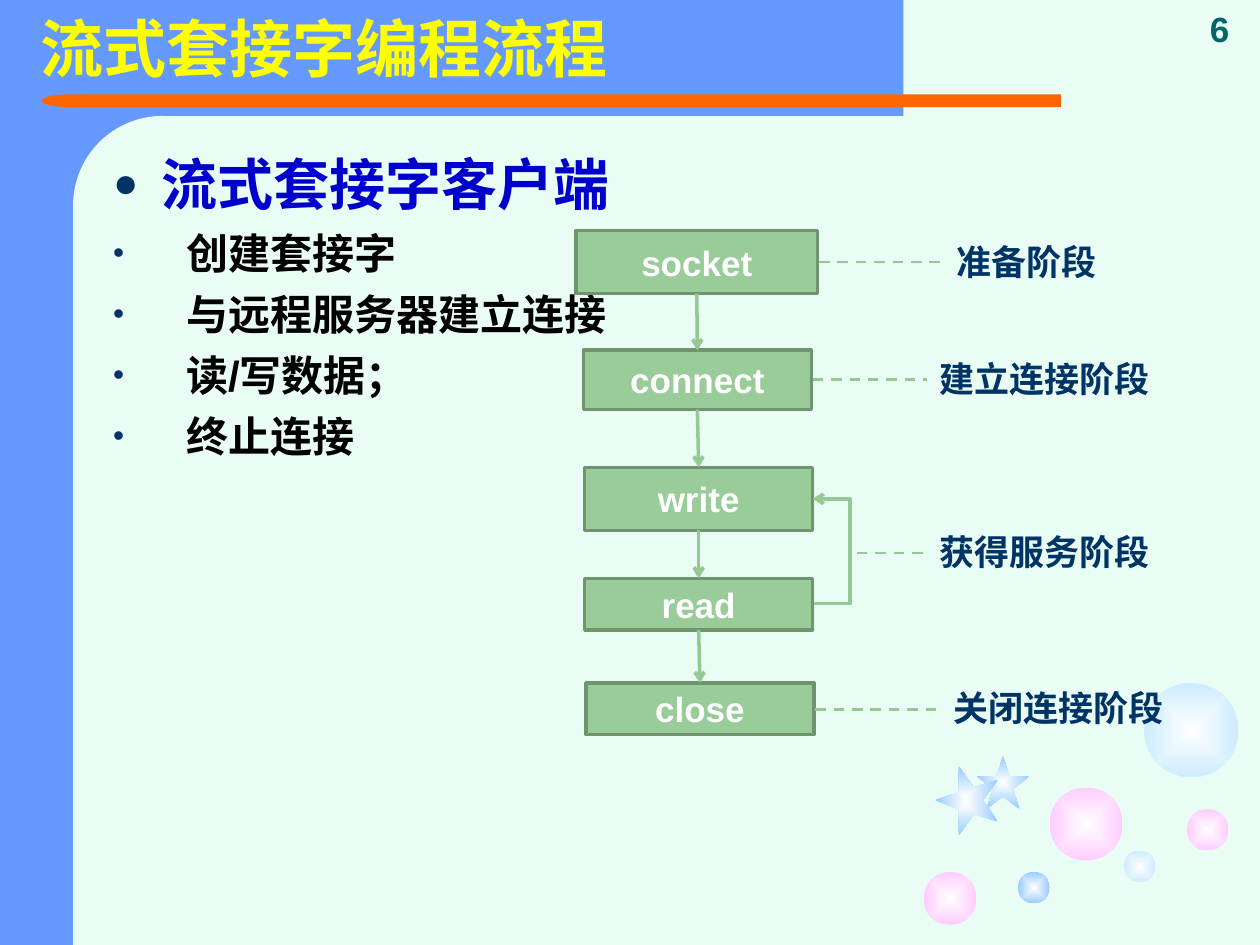
from dataclasses import dataclass
from typing import NamedTuple, Optional

import pptx
import pptx.dml.color
import pptx.enum.dml
import pptx.enum.shapes
import pptx.enum.text
import pptx.oxml
import pptx.oxml.ns
import pptx.util

Inches = pptx.util.Inches
Pt = pptx.util.Pt
SHAPE = pptx.enum.shapes.MSO_SHAPE
LINK = pptx.enum.shapes.MSO_CONNECTOR
ANCHOR = pptx.enum.text.MSO_ANCHOR
ALIGN = pptx.enum.text.PP_ALIGN
qn = pptx.oxml.ns.qn
NS = pptx.oxml.ns.nsdecls("a")


@dataclass(frozen=True)
class Theme:
    paper: str = "E9FDF4"
    frame: str = "6699FF"
    rule: str = "FF6600"
    title: str = "FFFF00"
    heading: str = "0000CC"
    body: str = "000000"
    label: str = "003366"
    number: str = "006666"
    white: str = "FFFFFF"
    step: str = "99CC99"
    step_edge: str = "6F956F"
    arrow: str = "94C994"
    pink: str = "FFCCFF"
    pale: str = "CCECFF"
    sky: str = "99CCFF"
    latin: str = "Arial"
    cjk: str = "Noto Sans CJK SC"
    title_pt: int = 36
    heading_pt: int = 32
    body_pt: int = 24
    label_pt: int = 20


T = Theme()


class Box(NamedTuple):
    x: float
    y: float
    w: float
    h: float


class Step(NamedTuple):
    text: str
    box: Box


class Stage(NamedTuple):
    text: str
    box: Box
    line_start: float
    line_y: float


class Bubble(NamedTuple):
    x: float
    y: float
    size: float
    color: str


class Star(NamedTuple):
    points: list[tuple[float, float]]
    color: str


STEPS = [
    Step("socket", Box(4.57, 1.83, 1.92, 0.5)),
    Step("connect", Box(4.63, 2.78, 1.81, 0.47)),
    Step("write", Box(4.64, 3.71, 1.81, 0.5)),
    Step("read", Box(4.64, 4.59, 1.81, 0.41)),
    Step("close", Box(4.65, 5.42, 1.81, 0.41)),
]
STAGES = [
    Stage("准备阶段", Box(7.49, 1.86, 1.73, 0.44), 6.5, 2.08),
    Stage("建立连接阶段", Box(7.36, 2.79, 2.44, 0.44), 6.45, 3.01),
    Stage("获得服务阶段", Box(7.36, 4.16, 2.28, 0.44), 6.8, 4.39),
    Stage("关闭连接阶段", Box(7.47, 5.4, 2.36, 0.44), 6.47, 5.63),
]
BUBBLES = [
    Bubble(8.33, 6.25, 0.58, T.pink),
    Bubble(7.33, 6.92, 0.42, T.pink),
    Bubble(8.92, 6.75, 0.25, T.pale),
    Bubble(9.42, 6.42, 0.33, T.pink),
    Bubble(9.08, 5.42, 0.75, T.pale),
    Bubble(8.08, 6.92, 0.25, T.sky),
]
STARS = [
    Star([(7.75, 6.16), (7.91, 6.16), (7.96, 6), (8.01, 6.16), (8.17, 6.16),
          (8.04, 6.26), (8.09, 6.42), (7.96, 6.32), (7.83, 6.42), (7.88, 6.26)], T.sky),
    Star([(7.61, 6.63), (7.61, 6.42), (7.42, 6.35), (7.61, 6.29), (7.61, 6.08),
          (7.73, 6.25), (7.92, 6.19), (7.8, 6.35), (7.92, 6.52), (7.73, 6.46)], T.sky),
]
TASKS = ["创建套接字", "与远程服务器建立连接", "读/写数据；", "终止连接"]


def rgb(color: str) -> pptx.dml.color.RGBColor:
    return pptx.dml.color.RGBColor.from_string(color)


def add_shape(s, kind, box: Box, fill: str, edge: Optional[str] = None):
    sp = s.shapes.add_shape(kind, *map(Inches, box))
    sp.shadow.inherit = False
    sp.fill.solid()
    sp.fill.fore_color.rgb = rgb(fill)
    if edge:
        sp.line.color.rgb = rgb(edge)
        sp.line.width = Pt(2)
    else:
        sp.line.fill.background()
    return sp


def glow(sp, color: str) -> None:
    """Fill from white in the middle to the colour at the edge."""
    sp.shadow.inherit = False
    sp.line.fill.background()
    sp.fill.background()
    old = sp._element.spPr.find(qn("a:noFill"))
    old.getparent().replace(old, pptx.oxml.parse_xml(
        f'<a:gradFill {NS} rotWithShape="1"><a:gsLst>'
        f'<a:gs pos="0"><a:srgbClr val="{T.white}"/></a:gs>'
        f'<a:gs pos="100000"><a:srgbClr val="{color}"/></a:gs></a:gsLst>'
        '<a:path path="rect"><a:fillToRect l="50000" t="50000" r="50000" b="50000"/>'
        '</a:path></a:gradFill>'))


def add_star(s, star: Star) -> None:
    points = [(Inches(x), Inches(y)) for x, y in star.points]
    builder = s.shapes.build_freeform(*points[0])
    builder.add_line_segments(points[1:], close=True)
    glow(builder.convert_to_shape(), star.color)


def add_line(s, start: tuple[float, float], end: tuple[float, float],
             kind=LINK.STRAIGHT, dashed: bool = False):
    """Draw a dashed guide, or a solid line with an arrowhead at its end."""
    c = s.shapes.add_connector(kind, *map(Inches, start + end))
    c.line.color.rgb = rgb(T.arrow)
    c.line.width = Pt(1.5 if dashed else 2)
    if dashed:
        c.line.dash_style = pptx.enum.dml.MSO_LINE.DASH
    else:
        c.line._get_or_add_ln().append(pptx.oxml.parse_xml(f'<a:tailEnd {NS} type="arrow"/>'))
    c._element.spPr.append(pptx.oxml.parse_xml(f"<a:effectLst {NS}/>"))
    return c


def write(p, text: str, *, size: int, color: str, latin: str = T.latin, align=None,
          bullet: Optional[str] = None, indent: float = 0, level: int = 0) -> None:
    if bullet:
        p.level = level
        pPr = p._p.get_or_add_pPr()
        pPr.set("marL", str(Inches(indent)))
        pPr.set("indent", str(-Inches(indent)))
        for xml in (f'<a:buClr {NS}><a:srgbClr val="{T.label}"/></a:buClr>',
                    f'<a:buSzPct {NS} val="75000"/>',
                    f'<a:buFont {NS} typeface="{T.latin}"/>',
                    f'<a:buChar {NS} char="{bullet}"/>'):
            pPr.append(pptx.oxml.parse_xml(xml))
    p.alignment = align
    r = p.add_run()
    r.text = text
    r.font.size, r.font.bold, r.font.name = Pt(size), True, latin
    r.font.color.rgb = rgb(color)
    r.font._element.find(qn("a:latin")).addnext(
        pptx.oxml.parse_xml(f'<a:ea {NS} typeface="{T.cjk}"/>'))


def add_text(s, box: Box, anchor=ANCHOR.TOP):
    tf = s.shapes.add_textbox(*map(Inches, box)).text_frame
    tf.word_wrap = True
    tf.vertical_anchor = anchor
    return tf


def draw_backdrop(s) -> None:
    s.background.fill.solid()
    s.background.fill.fore_color.rgb = rgb(T.paper)
    add_shape(s, SHAPE.RECTANGLE, Box(0, 0, 1.25, 7.5), T.frame)
    add_shape(s, SHAPE.RECTANGLE, Box(0.5, 0, 6.67, 0.92), T.frame)
    panel = add_shape(s, SHAPE.ROUNDED_RECTANGLE, Box(0.58, 0.92, 1.42, 5.75), T.paper)
    panel.adjustments[0] = 0.5
    bar = add_shape(s, SHAPE.ROUNDED_RECTANGLE, Box(0.75, 0.75, 7.67, 0.1), T.rule)
    bar.adjustments[0] = 0
    tip = add_shape(s, SHAPE.FLOWCHART_DELAY, Box(0.33, 0.75, 0.43, 0.1), T.rule)
    tip._element.spPr.xfrm.set("flipH", "1")
    add_shape(s, SHAPE.RECTANGLE, Box(0.58, 5.92, 1.42, 1.58), T.paper)
    for b in BUBBLES:
        glow(add_shape(s, SHAPE.OVAL, Box(b.x, b.y, b.size, b.size), b.color), b.color)
    for star in STARS:
        add_star(s, star)


def draw_text(s) -> None:
    p = add_text(s, Box(0.22, 0, 9, 0.82), ANCHOR.MIDDLE).paragraphs[0]
    p.line_spacing = 0.9
    write(p, "流式套接字编程流程", size=T.title_pt, color=T.title)
    tf = add_text(s, Box(0.8, 1.14, 9, 5.13))
    write(tf.paragraphs[0], "流式套接字客户端", size=T.heading_pt, color=T.heading,
          latin=T.cjk, bullet="●", indent=0.38)
    for task in TASKS:
        p = tf.add_paragraph()
        p.space_before = Pt(6)
        write(p, task, size=T.body_pt, color=T.body, bullet="•", indent=0.58, level=1)


def draw_flow(s) -> None:
    for step in STEPS:
        sp = add_shape(s, SHAPE.RECTANGLE, step.box, T.step, T.step_edge)
        sp.text_frame.vertical_anchor = ANCHOR.MIDDLE
        write(sp.text_frame.paragraphs[0], step.text, size=T.label_pt, color=T.white,
              align=ALIGN.CENTER)
    for (_, a), (_, b) in zip(STEPS, STEPS[1:]):
        add_line(s, (a.x + a.w / 2, a.y + a.h), (b.x + b.w / 2, b.y))
    loop = add_line(s, (6.46, 4.79), (6.45, 3.96), LINK.ELBOW)
    loop._element.spPr.find(qn("a:prstGeom")).get_or_add_avLst().append(
        pptx.oxml.parse_xml(f'<a:gd {NS} name="adj1" fmla="val -2900000"/>'))
    for stage in STAGES:
        tf = add_text(s, stage.box)
        write(tf.paragraphs[0], stage.text, size=T.label_pt, color=T.label)
        add_line(s, (stage.line_start, stage.line_y), (stage.box.x, stage.line_y), dashed=True)


def main() -> None:
    prs = pptx.Presentation()
    prs.slide_width, prs.slide_height = Inches(10), Inches(7.5)
    s = prs.slides.add_slide(prs.slide_layouts[6])
    draw_backdrop(s)
    draw_text(s)
    draw_flow(s)
    number = add_text(s, Box(9.36, 0, 0.64, 0.44), ANCHOR.BOTTOM)
    write(number.paragraphs[0], "6", size=T.label_pt, color=T.number, align=ALIGN.CENTER)
    prs.save("out.pptx")


if __name__ == "__main__":
    main()
